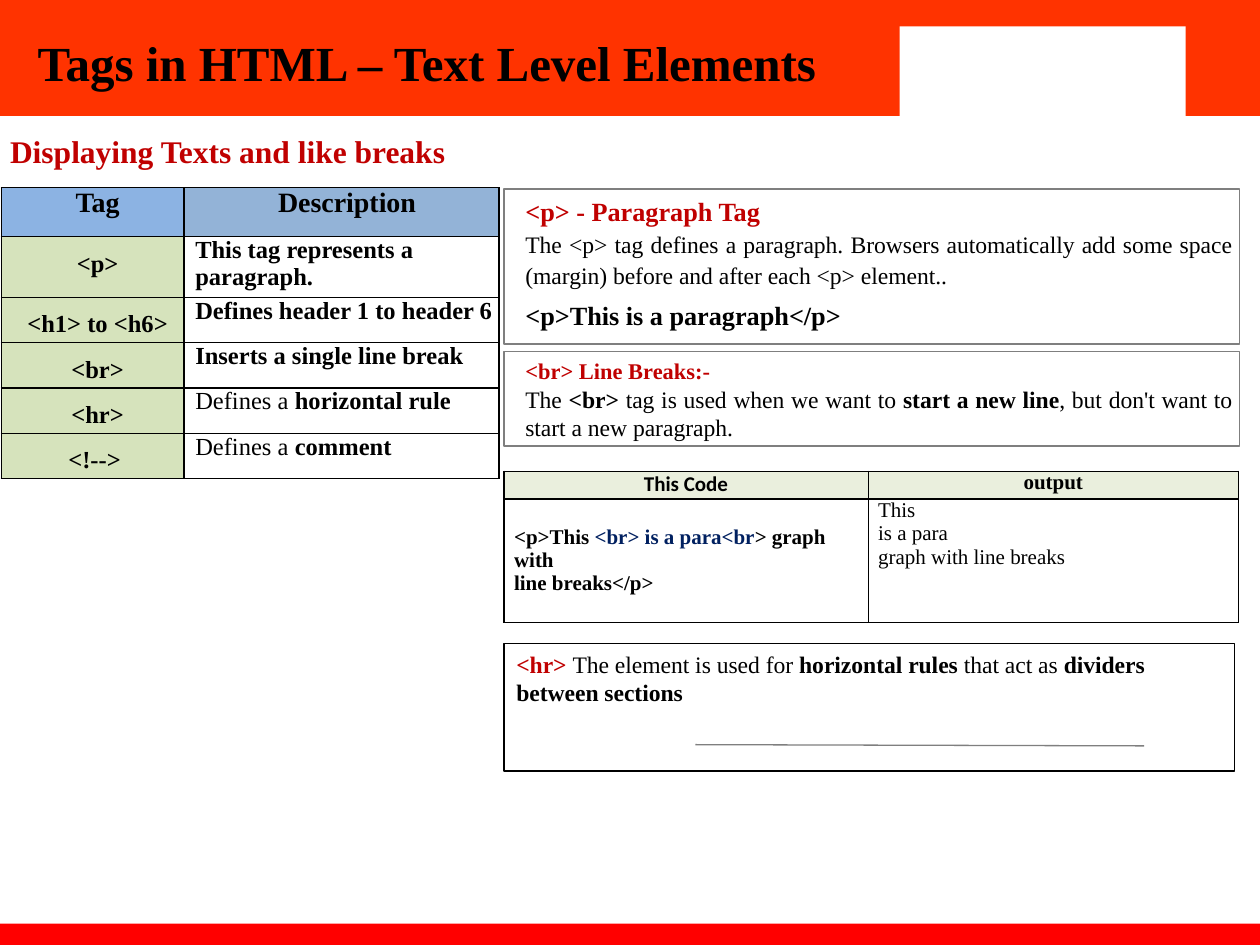
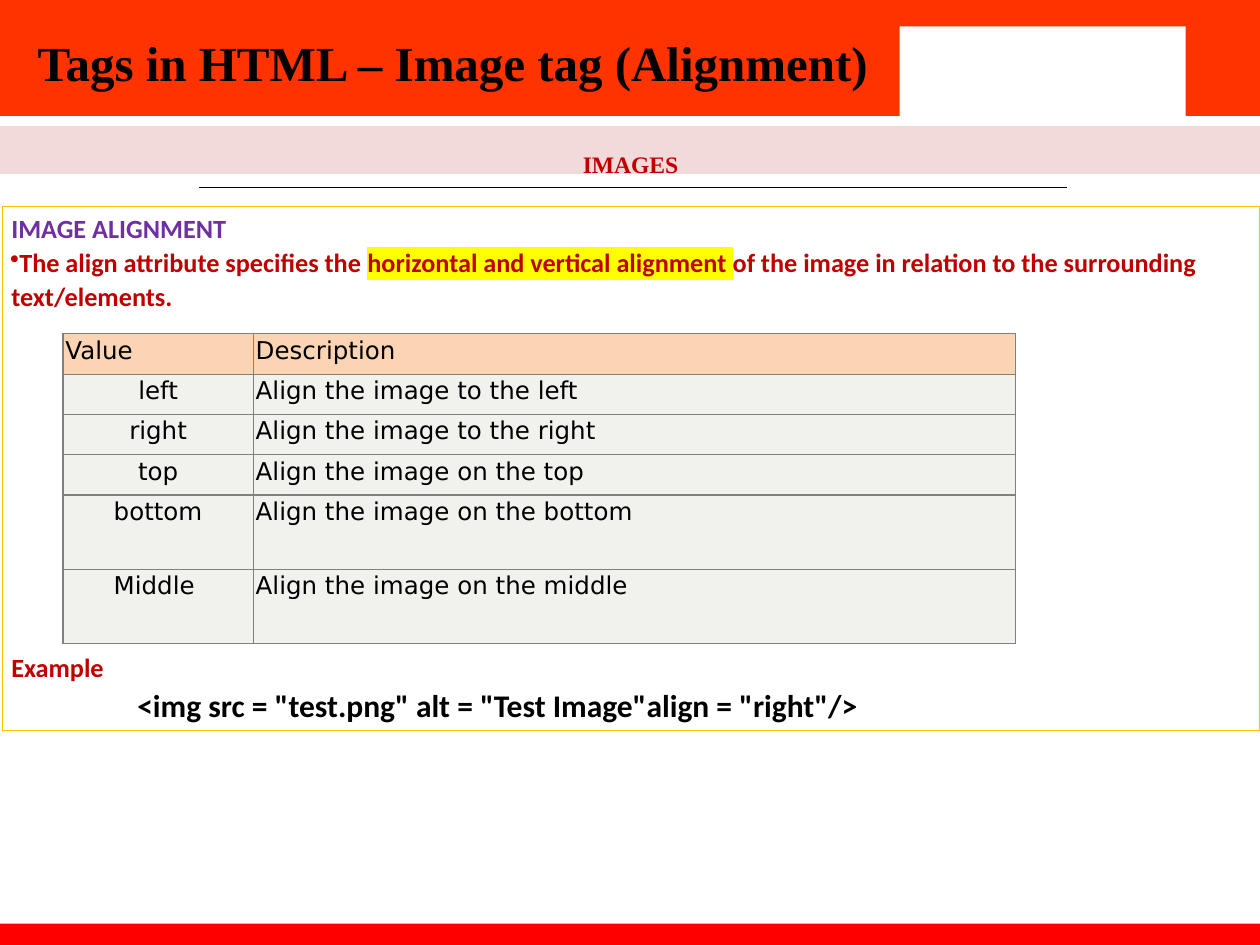
from dataclasses import dataclass

from lxml.etree import SubElement
from pptx import Presentation
from pptx.dml.color import RGBColor
from pptx.enum.shapes import MSO_CONNECTOR, MSO_SHAPE
from pptx.enum.text import MSO_ANCHOR, PP_ALIGN
from pptx.oxml import parse_xml
from pptx.oxml.ns import nsdecls, qn
from pptx.util import Inches, Pt


@dataclass(frozen=True)
class Theme:
    serif: str = "Times New Roman"
    sans: str = "Calibri"
    grid: str = "DejaVu Sans"
    banner: str = "FF3300"
    footer: str = "FF0000"
    white: str = "FFFFFF"
    ink: str = "000000"
    accent: str = "C00000"
    navy: str = "002060"
    purple: str = "7030A0"
    gold: str = "FFC000"
    marker: str = "FFFF00"
    gray: str = "7F7F7F"
    grid_gray: str = "808080"
    pink: str = "F2DADA"
    tag_head: str = "8CB3E3"
    text_head: str = "93B3D7"
    tag_green: str = "D6E3BC"
    code_head: str = "EAEFDD"
    peach: str = "FBD4B4"
    pale: str = "F1F1ED"
    title: float = 28
    section: float = 18
    table_head: float = 16
    heading: float = 15
    cell: float = 14
    body: float = 13.5
    small_heading: float = 12.8
    code: float = 12
    hairline: float = 0.75


THEME = Theme()
TIGHT = (0.06, 0.03, 0.06, 0.03)
ROOMY = (0.1, 0.05, 0.1, 0.05)


def rgb(value):
    return RGBColor.from_string(value)


def set_margins(target, margins):
    """Set left, top, right and bottom margins of a text frame or a cell."""
    sides = ("margin_left", "margin_top", "margin_right", "margin_bottom")
    for side, margin in zip(sides, margins):
        setattr(target, side, Inches(margin))


def add_run(paragraph, text, size, color, bold, font, highlight=None):
    run = paragraph.add_run()
    run.text = text
    run.font.size = Pt(size)
    run.font.bold = bold
    run.font.name = font
    run.font.color.rgb = rgb(color)
    if highlight:
        fill = run.font._element.find(qn("a:solidFill"))
        fill.addnext(parse_xml(
            f'<a:highlight {nsdecls("a")}><a:srgbClr val="{highlight}"/></a:highlight>'))


def write(frame, text, *, size=THEME.body, color=THEME.ink, bold=False,
          font=THEME.serif, align=PP_ALIGN.LEFT, spacing=1.0, before=0,
          left=0, hanging=0, bullet=None):
    """Append a paragraph; text is a string or a list of (text, run format)."""
    paragraph = frame.paragraphs[-1]
    if paragraph.runs:
        paragraph = frame.add_paragraph()
    paragraph.alignment = align
    paragraph.line_spacing = spacing
    if before:
        paragraph.space_before = Pt(before)
    properties = paragraph._p.get_or_add_pPr()
    properties.set("marL", str(Inches(left)))
    properties.set("indent", str(-Inches(hanging)))
    if bullet:
        bullet_color = SubElement(properties, qn("a:buClr"))
        SubElement(bullet_color, qn("a:srgbClr"), val=color)
        SubElement(properties, qn("a:buChar"), char=bullet)
    base = dict(size=size, color=color, bold=bold, font=font)
    for piece, changes in [(text, {})] if isinstance(text, str) else text:
        add_run(paragraph, piece, **(base | changes))


class Deck:
    def __init__(self, theme):
        self.theme = theme
        self.presentation = Presentation()
        self.presentation.slide_width = Inches(10)
        self.presentation.slide_height = Inches(7.5)
        self.slide = None

    def new_slide(self):
        """Start a slide with the shared banner and footer band."""
        t = self.theme
        self.slide = self.presentation.slides.add_slide(
            self.presentation.slide_layouts[6])
        self.panel(0, 0, 10, 0.92, fill=t.banner)
        self.panel(0, 7.33, 10, 0.17, fill=t.footer)
        self.panel(6.72, 0, 3.28, 0.92, fill=t.banner)
        self.panel(7.14, 0.21, 2.27, 0.75, fill=t.white)

    def title(self, text, width):
        frame = self.text_box(0.2, 0.21, width, 0.57, ROOMY)
        write(frame, text, size=self.theme.title, bold=True)

    def prepare(self, frame, margins):
        frame.word_wrap = True
        frame.vertical_anchor = MSO_ANCHOR.TOP
        set_margins(frame, margins)
        return frame

    def text_box(self, left, top, width, height, margins=TIGHT):
        box = self.slide.shapes.add_textbox(
            Inches(left), Inches(top), Inches(width), Inches(height))
        return self.prepare(box.text_frame, margins)

    def panel(self, left, top, width, height, fill=None, line=None, margins=TIGHT):
        """Draw a rectangle and return its text frame."""
        panel = self.slide.shapes.add_shape(
            MSO_SHAPE.RECTANGLE, Inches(left), Inches(top), Inches(width), Inches(height))
        panel.shadow.inherit = False
        if fill:
            panel.fill.solid()
            panel.fill.fore_color.rgb = rgb(fill)
        else:
            panel.fill.background()
        if line:
            panel.line.color.rgb = rgb(line)
            panel.line.width = Pt(self.theme.hairline)
        else:
            panel.line.fill.background()
        return self.prepare(panel.text_frame, margins)

    def rule(self, x1, y1, x2, y2, color):
        rule = self.slide.shapes.add_connector(
            MSO_CONNECTOR.STRAIGHT, Inches(x1), Inches(y1), Inches(x2), Inches(y2))
        rule.line.color.rgb = rgb(color)
        rule.line.width = Pt(self.theme.hairline)
        SubElement(rule._element.spPr, qn("a:effectLst"))

    def table(self, left, top, widths, heights, border):
        """Add an unstyled table with a thin border round every cell."""
        table = self.slide.shapes.add_table(
            len(heights), len(widths), Inches(left), Inches(top),
            Inches(sum(widths)), Inches(sum(heights))).table
        table.first_row = table.horz_banding = False
        for column, width in zip(table.columns, widths):
            column.width = Inches(width)
        for row, height in zip(table.rows, heights):
            row.height = Inches(height)
        for cell in table.iter_cells():
            properties = cell._tc.get_or_add_tcPr()
            for side in ("a:lnL", "a:lnR", "a:lnT", "a:lnB"):
                edge = SubElement(properties, qn(side), w=str(Pt(self.theme.hairline)))
                edge_fill = SubElement(edge, qn("a:solidFill"))
                SubElement(edge_fill, qn("a:srgbClr"), val=border)
        return table

    def cell(self, cell, *paragraphs, fill=None, margins=(0, 0, 0, 0), **text_format):
        set_margins(cell, margins)
        cell.vertical_anchor = MSO_ANCHOR.TOP
        if fill:
            cell.fill.solid()
            cell.fill.fore_color.rgb = rgb(fill)
        else:
            cell.fill.background()
        for text in paragraphs:
            write(cell.text_frame, text, **text_format)


def tag_table(deck):
    t = deck.theme
    strong = {"bold": True}
    plain = {"bold": False}
    tags = [
        ("<p>", "This tag represents a paragraph."),
        ("<h1> to <h6>", "Defines header 1 to header 6"),
        ("<br>", "Inserts a single line break"),
        ("<hr>", [("Defines a ", plain), ("horizontal rule", strong)]),
        ("<!--> ", [("Defines a ", plain), ("comment", strong)]),
    ]
    tag_inset, text_inset = (0.08, 0, 0, 0), (0.09, 0, 0, 0)
    table = deck.table(0.01, 1.49, [1.45, 2.5], [0.39, 0.48] + [0.36] * 4, t.ink)
    head = dict(size=t.table_head, bold=True, align=PP_ALIGN.CENTER)
    deck.cell(table.cell(0, 0), "Tag", fill=t.tag_head, margins=tag_inset, **head)
    deck.cell(table.cell(0, 1), "Description", fill=t.text_head, margins=text_inset, **head)
    for row, (tag, description) in enumerate(tags, 1):
        deck.cell(table.cell(row, 0), tag, fill=t.tag_green, margins=tag_inset,
                  size=t.cell, bold=True, align=PP_ALIGN.CENTER, spacing=1.5)
        deck.cell(table.cell(row, 1), description, margins=text_inset,
                  size=t.cell, bold=True)


def code_table(deck):
    t = deck.theme
    table = deck.table(4, 3.74, [2.89, 2.94], [0.22, 0.98], t.ink)
    for column, (label, font) in enumerate([("This Code", t.sans), ("output", t.serif)]):
        deck.cell(table.cell(0, column), label, fill=t.code_head, size=t.code,
                  bold=True, font=font, align=PP_ALIGN.CENTER)
    deck.cell(table.cell(1, 0),
              [("<p>This ", {}), ("<br> is a para<br", {"color": t.navy}),
               ("> graph with", {})],
              "line breaks</p>", margins=(0.08, 0.21, 0, 0), size=t.code, bold=True)
    deck.cell(table.cell(1, 1), "This", "is a para", "graph with line breaks",
              margins=(0.08, 0, 0, 0), size=t.code)


def text_level_slide(deck):
    t = deck.theme
    strong = {"bold": True}
    deck.new_slide()
    tag_table(deck)
    section = deck.text_box(0.01, 1.02, 4.38, 0.37)
    write(section, "Displaying Texts and like breaks", size=t.section,
          color=t.accent, bold=True, left=0.01)

    justified = dict(align=PP_ALIGN.JUSTIFY, left=0.11)
    paragraph_tag = deck.panel(4, 1.5, 5.84, 1.23, line=t.gray)
    write(paragraph_tag, "<p> - Paragraph Tag", size=t.heading, color=t.accent,
          bold=True, spacing=1.08, **justified)
    write(paragraph_tag,
          "The <p> tag defines a paragraph. Browsers automatically add some space "
          "(margin) before and after each <p> element..",
          spacing=1.08, before=0.7, **justified)
    write(paragraph_tag, "<p>This is a paragraph</p>", size=t.heading, bold=True,
          before=6, **justified)

    line_break = deck.panel(4, 2.79, 5.84, 0.75, line=t.gray)
    write(line_break, "<br> Line Breaks:-", size=t.small_heading, color=t.accent,
          bold=True, spacing=1.08, **justified)
    write(line_break,
          [("The ", {}), ("<br> ", strong), ("tag is used when we want to ", {}),
           ("start a new line", strong),
           (", but don't want to start a new paragraph. ", {})],
          before=0.2, **justified)

    code_table(deck)
    horizontal_rule = deck.panel(4, 5.11, 5.8, 1.01, line=t.ink, margins=ROOMY)
    write(horizontal_rule,
          [("<hr> ", {"bold": True, "color": t.accent}),
           ("The element is used for ", {}), ("horizontal rules ", strong),
           ("that act as ", {}), ("dividers between sections", strong)])
    deck.rule(5.52, 5.91, 9.08, 5.92, t.gray)
    deck.title("Tags in HTML – Text Level Elements", 6.54)


def alignment_table(deck):
    t = deck.theme
    values = [
        ("Value", "Description"),
        ("left", "Align the image to the left"),
        ("right", "Align the image to the right"),
        ("top", "Align the image on the top"),
        ("bottom", "Align the image on the bottom"),
        ("Middle ", "Align the image on the middle"),
    ]
    table = deck.table(0.5, 2.65, [1.51, 6.05], [0.32] * 4 + [0.59] * 2, t.grid_gray)
    for row, texts in enumerate(values):
        for column, text in enumerate(texts):
            centred = row > 0 and column == 0
            deck.cell(table.cell(row, column), text,
                      fill=t.pale if row else t.peach, margins=(0.02,) * 4,
                      size=t.cell, font=t.grid,
                      align=PP_ALIGN.CENTER if centred else PP_ALIGN.LEFT)


def image_alignment_slide(deck):
    t = deck.theme
    deck.new_slide()
    images = deck.panel(0, 1, 10, 0.38, fill=t.pink, margins=(0, 0.08, 0, 0))
    write(images, "IMAGES", color=t.accent, bold=True, align=PP_ALIGN.CENTER,
          spacing=1.5, left=0.01)
    deck.rule(1.58, 1.49, 8.47, 1.49, t.ink)

    alignment = deck.panel(0.02, 1.64, 9.98, 4.16, fill=t.white, line=t.gold)
    common = dict(font=t.sans, bold=True, spacing=1.07)
    write(alignment, "IMAGE ALIGNMENT", size=t.heading, color=t.purple, left=0.01, **common)
    write(alignment,
          [("The align attribute specifies the ", {}),
           ("horizontal and vertical alignment ", {"highlight": t.marker}),
           ("of the image in relation to the surrounding text/elements.", {})],
          size=t.heading, color=t.accent, left=0.01, hanging=0.1, bullet="•", **common)
    write(alignment, "Example", size=t.heading, color=t.accent, left=0.01,
          before=193, **common)
    write(alignment, '<img src = "test.png" alt = "Test Image"align = "right"/>',
          size=t.section, left=1.01, **common)
    alignment_table(deck)
    deck.title("Tags in HTML – Image tag (Alignment)", 6.86)


def main():
    deck = Deck(THEME)
    text_level_slide(deck)
    image_alignment_slide(deck)
    deck.presentation.save("out.pptx")


if __name__ == "__main__":
    main()
